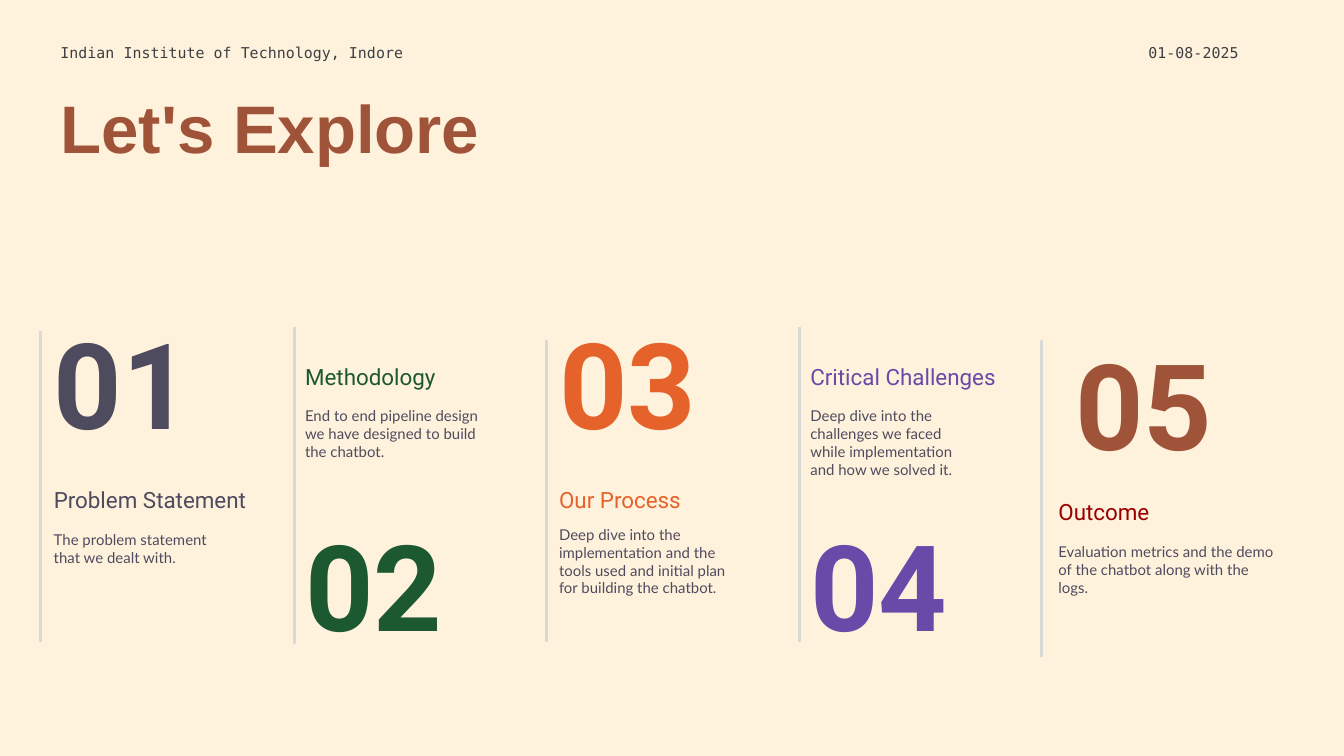
"""Build the agenda slide with five numbered sections."""
from dataclasses import dataclass

from lxml.etree import SubElement
from pptx import Presentation
from pptx.dml.color import RGBColor
from pptx.enum.shapes import MSO_CONNECTOR
from pptx.enum.text import MSO_ANCHOR
from pptx.oxml.ns import qn
from pptx.slide import Slide
from pptx.util import Inches, Length, Pt


@dataclass(frozen=True)
class Theme:
    background: str = "FFF2DC"
    title: str = "9F5338"
    header: str = "3C4043"
    body: str = "4F4B5F"
    rule: str = "D9D9D9"
    green: str = "1D5930"
    orange: str = "E5622B"
    purple: str = "684BA9"
    red: str = "980000"
    title_size: int = 36
    number_size: int = 64
    heading_size: int = 12
    small_size: int = 8
    rule_width: float = 1.5


@dataclass(frozen=True)
class Style:
    font: str
    size: int
    color: str
    bold: bool = False
    anchor: MSO_ANCHOR = MSO_ANCHOR.TOP
    line_spacing: float = 1.0
    right_inset: float = 0


@dataclass(frozen=True)
class Box:
    column: float
    row: float
    columns: float
    rows: float


@dataclass(frozen=True)
class Rows:
    number: float
    heading: float
    description: float


@dataclass(frozen=True)
class Rule:
    column: float
    top: float
    bottom: float


@dataclass(frozen=True)
class Section:
    heading: str
    description: str
    color: str
    column: float
    rows: Rows
    rule: Rule
    heading_columns: float = 16.1
    description_columns: float = 14
    number_indent: float = 0
    heading_color: str = ""


THEME = Theme()
COLUMNS, ROWS = 100, 56.25
CELL = 0.1
NUMBER_BELOW = Rows(38.1, 25, 30.25)

TITLE = Style("Arial", THEME.title_size, THEME.title, bold=True, line_spacing=0.8)
HEADER = Style("DejaVu Sans Mono", THEME.small_size, THEME.header,
               anchor=MSO_ANCHOR.MIDDLE, line_spacing=1.15)
DESCRIPTION = Style("Lato", THEME.small_size, THEME.body, right_inset=1)

SECTIONS = (
    Section("Problem Statement", "The problem statement that we dealt with.",
            THEME.body, 4, Rows(23.1, 34.15, 39.5), Rule(3, 24.6, 47.8),
            heading_columns=15.8),
    Section("Methodology",
            "End to end pipeline design we have designed to build the chatbot.",
            THEME.green, 22.7, NUMBER_BELOW, Rule(21.9, 24.35, 47.95)),
    Section("Our Process",
            "Deep dive into the implementation and the tools used and initial plan "
            "for building the chatbot.",
            THEME.orange, 41.6, Rows(23.1, 34.15, 39.1), Rule(40.65, 25.3, 47.8)),
    Section("Critical Challenges",
            "Deep dive into the challenges we faced while implementation and how we "
            "solved it.",
            THEME.purple, 60.3, NUMBER_BELOW, Rule(59.5, 24.35, 47.8),
            heading_columns=15, description_columns=12.6),
    Section("Outcome",
            "Evaluation metrics and the demo of the chatbot along with the logs.",
            THEME.title, 78.75, Rows(24.65, 35.1, 40.4), Rule(77.5, 25.3, 48.9),
            heading_columns=16.7, description_columns=17.5, number_indent=1.25,
            heading_color=THEME.red),
)


def cells(count: float) -> Length:
    return Inches(count * CELL)


def add_text(slide: Slide, text: str, box: Box, style: Style) -> None:
    shape = slide.shapes.add_textbox(
        cells(box.column), cells(box.row), cells(box.columns), cells(box.rows))
    frame = shape.text_frame
    frame.word_wrap = True
    frame.vertical_anchor = style.anchor
    frame.margin_left = frame.margin_top = frame.margin_bottom = 0
    frame.margin_right = cells(style.right_inset)
    frame.text = text
    paragraph = frame.paragraphs[0]
    paragraph.line_spacing = style.line_spacing
    font = paragraph.runs[0].font
    font.name = style.font
    font.size = Pt(style.size)
    font.bold = style.bold
    font.color.rgb = RGBColor.from_string(style.color)


def add_rule(slide: Slide, rule: Rule) -> None:
    connector = slide.shapes.add_connector(
        MSO_CONNECTOR.STRAIGHT, cells(rule.column), cells(rule.top),
        cells(rule.column), cells(rule.bottom))
    connector.line.color.rgb = RGBColor.from_string(THEME.rule)
    connector.line.width = Pt(THEME.rule_width)
    SubElement(connector._element.spPr, qn("a:effectLst"))


def add_section(slide: Slide, number: int, section: Section) -> None:
    left, rows = section.column, section.rows
    number_style = Style("Roboto", THEME.number_size, section.color, bold=True)
    heading_style = Style("Roboto", THEME.heading_size,
                          section.heading_color or section.color,
                          anchor=MSO_ANCHOR.BOTTOM)
    add_rule(slide, section.rule)
    add_text(slide, f"{number:02}",
             Box(left + section.number_indent, rows.number, 14, 10.8), number_style)
    add_text(slide, section.heading,
             Box(left, rows.heading, section.heading_columns, 4), heading_style)
    add_text(slide, section.description,
             Box(left, rows.description, section.description_columns, 5.4), DESCRIPTION)


def main() -> None:
    presentation = Presentation()
    presentation.slide_width = cells(COLUMNS)
    presentation.slide_height = cells(ROWS)
    slide = presentation.slides.add_slide(presentation.slide_layouts[6])
    slide.background.fill.solid()
    slide.background.fill.fore_color.rgb = RGBColor.from_string(THEME.background)
    add_text(slide, "Let's Explore", Box(4.5, 7.6, 78.1, 10.9), TITLE)
    for number, section in enumerate(SECTIONS, start=1):
        add_section(slide, number, section)
    add_text(slide, "01-08-2025", Box(85.45, 3.2, 11.5, 1.3), HEADER)
    add_text(slide, "Indian Institute of Technology, Indore",
             Box(4.5, 3.2, 33, 1.3), HEADER)
    presentation.save("out.pptx")


if __name__ == "__main__":
    main()
